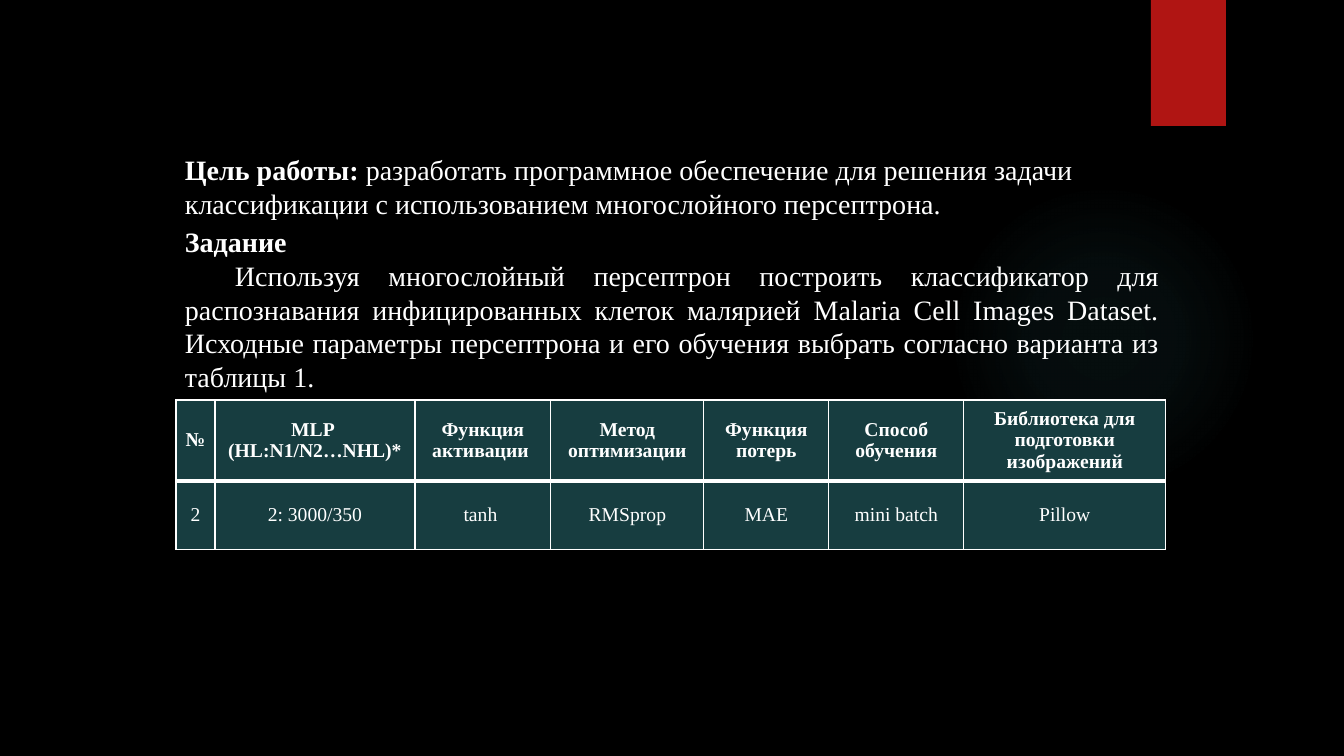
from lxml import etree
from pptx import Presentation
from pptx.dml.color import RGBColor
from pptx.enum.shapes import MSO_SHAPE
from pptx.enum.text import MSO_ANCHOR, PP_ALIGN
from pptx.oxml import parse_xml
from pptx.oxml.ns import nsdecls, qn
from pptx.util import Pt

LEFT, CENTER, JUSTIFY = PP_ALIGN.LEFT, PP_ALIGN.CENTER, PP_ALIGN.JUSTIFY
MIDDLE = MSO_ANCHOR.MIDDLE
OVAL, RECTANGLE = MSO_SHAPE.OVAL, MSO_SHAPE.RECTANGLE

FONT = "Times New Roman"
COLORS = {"back": "000000", "text": "FFFFFF", "ribbon": "B01513",
          "glow": "50B9C1", "cell": "173D40"}
GLOW_STOPS = [(0, 7), (36, 6), (69, 0)]

GOAL = [
    [("Цель работы: ", True),
     ("разработать программное обеспечение для решения задачи", False)],
    [("классификации с использованием многослойного персептрона.", False)],
]
TASK_TITLE = [[("Задание", True)]]
TASK = [[("Используя многослойный персептрон построить классификатор для "
          "распознавания инфицированных клеток малярией Malaria Cell Images Dataset. "
          "Исходные параметры персептрона и его обучения выбрать согласно варианта из "
          "таблицы 1.", False)]]
HEADERS = [["№"], ["MLP ", "(HL:N1/N2…NHL)*"], ["Функция активации "],
           ["Метод оптимизации"], ["Функция потерь"], ["Способ обучения"],
           ["Библиотека для подготовки изображений"]]
VARIANT = [["2"], ["2: 3000/350"], ["tanh "], ["RMSprop"], ["MAE"],
           ["mini batch"], ["Pillow"]]

COLUMN_WIDTHS = [39, 200, 136, 153, 125, 135, 202]
ROW_HEIGHTS = [80, 69]
TEXT_LEFT, TEXT_WIDTH = 175, 994
TABLE_LEFT, TABLE_TOP = 176, 400
THIN, THICK = 1, 3


def px(length):
    return round(length * 914400 / 100.8)


def write(frame, paragraphs, size=20, align=LEFT, indent=0, append=False):
    frame.word_wrap = True
    for number, runs in enumerate(paragraphs):
        new = append or number > 0
        paragraph = frame.add_paragraph() if new else frame.paragraphs[0]
        paragraph.alignment = align
        if indent:
            paragraph._p.get_or_add_pPr().set("indent", str(px(indent)))
        for words, bold in runs:
            run = paragraph.add_run()
            run.text = words
            run.font.name = FONT
            run.font.size = Pt(size)
            run.font.bold = bold
            run.font.color.rgb = RGBColor.from_string(COLORS["text"])


def add_plain_shape(slide, kind, box, color):
    shape = slide.shapes.add_shape(kind, *map(px, box))
    shape.shadow.inherit = False
    shape.line.fill.background()
    shape.fill.solid()
    shape.fill.fore_color.rgb = RGBColor.from_string(color)
    return shape


def add_glow(slide, box):
    glow = add_plain_shape(slide, OVAL, box, COLORS["glow"])
    stops = "".join(
        f'<a:gs pos="{position * 1000}"><a:srgbClr val="{COLORS["glow"]}">'
        f'<a:alpha val="{alpha * 1000}"/></a:srgbClr></a:gs>'
        for position, alpha in GLOW_STOPS)
    gradient = parse_xml(
        f'<a:gradFill {nsdecls("a")}><a:gsLst>{stops}</a:gsLst><a:path path="circle">'
        '<a:fillToRect l="50000" t="50000" r="50000" b="50000"/></a:path></a:gradFill>')
    properties = glow._element.spPr
    properties.replace(properties.find(qn("a:solidFill")), gradient)


def set_borders(cell, top, bottom):
    properties = cell._tc.get_or_add_tcPr()
    widths = {"lnL": THIN, "lnR": THIN, "lnT": top, "lnB": bottom}
    for place, (side, width) in enumerate(widths.items()):
        line = etree.Element(qn(f"a:{side}"), w=str(Pt(width)))
        fill = etree.SubElement(line, qn("a:solidFill"))
        etree.SubElement(fill, qn("a:srgbClr"), val=COLORS["text"])
        properties.insert(place, line)


def add_variant_table(slide):
    rows = [HEADERS, VARIANT]
    borders = [(THIN, THICK), (THICK, THIN)]
    frame = slide.shapes.add_table(
        len(rows), len(HEADERS), px(TABLE_LEFT), px(TABLE_TOP),
        px(sum(COLUMN_WIDTHS)), px(sum(ROW_HEIGHTS)))
    table = frame.table
    table.horz_banding = False
    for column, width in zip(table.columns, COLUMN_WIDTHS):
        column.width = px(width)
    for row, height in zip(table.rows, ROW_HEIGHTS):
        row.height = px(height)
    for r, entries in enumerate(rows):
        for c, lines in enumerate(entries):
            cell = table.cell(r, c)
            cell.vertical_anchor = MIDDLE
            cell.margin_left = cell.margin_right = px(7)
            cell.fill.solid()
            cell.fill.fore_color.rgb = RGBColor.from_string(COLORS["cell"])
            set_borders(cell, *borders[r])
            write(cell.text_frame, [[(line, r == 0)] for line in lines],
                  size=14, align=CENTER)


def main():
    deck = Presentation()
    deck.slide_width, deck.slide_height = px(1344), px(756)
    slide = deck.slides.add_slide(deck.slide_layouts[6])
    slide.background.fill.solid()
    slide.background.fill.fore_color.rgb = RGBColor.from_string(COLORS["back"])

    add_glow(slide, (949, 184, 310, 310))
    add_plain_shape(slide, RECTANGLE, (1151, 0, 75, 126), COLORS["ribbon"])

    goal = slide.shapes.add_textbox(px(TEXT_LEFT), px(148), px(TEXT_WIDTH), px(112))
    write(goal.text_frame, GOAL, align=JUSTIFY)

    task = slide.shapes.add_textbox(px(TEXT_LEFT), px(220), px(TEXT_WIDTH), px(179))
    write(task.text_frame, TASK_TITLE)
    write(task.text_frame, TASK, align=JUSTIFY, indent=50, append=True)

    add_variant_table(slide)
    deck.save("out.pptx")


if __name__ == "__main__":
    main()
